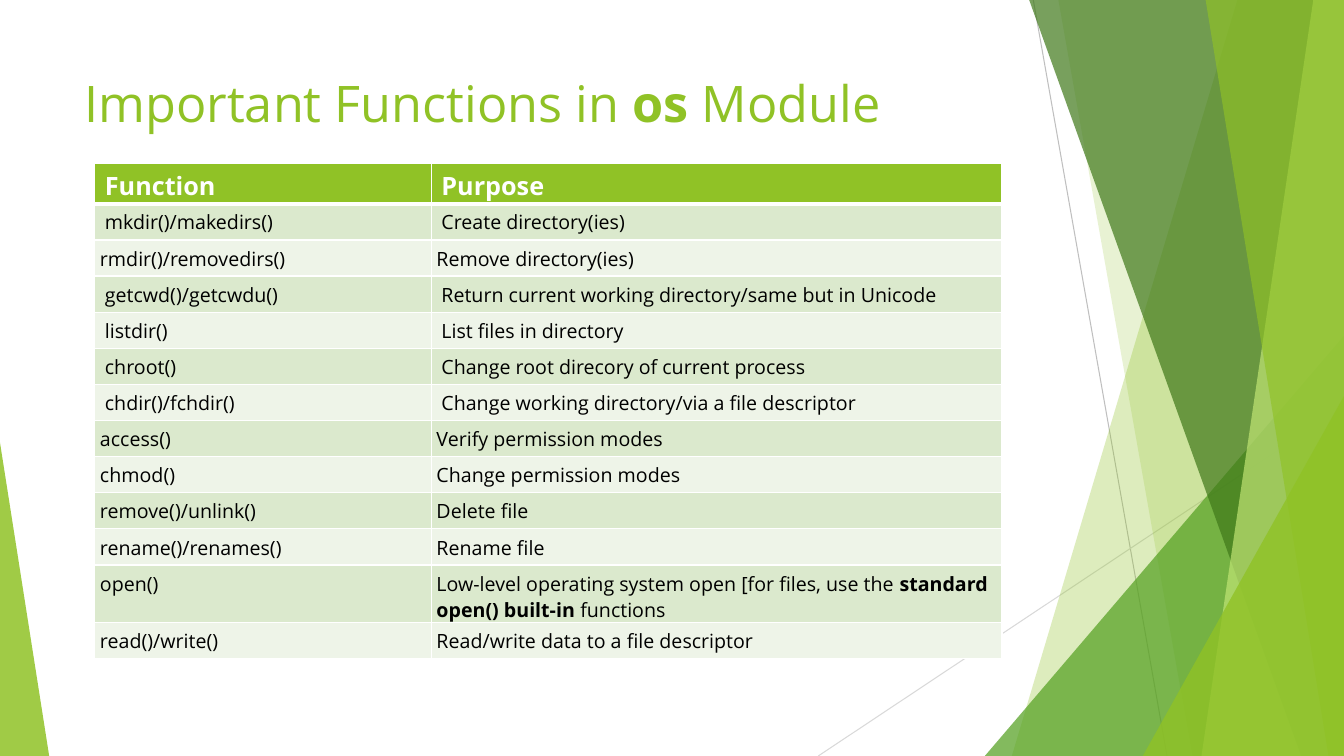
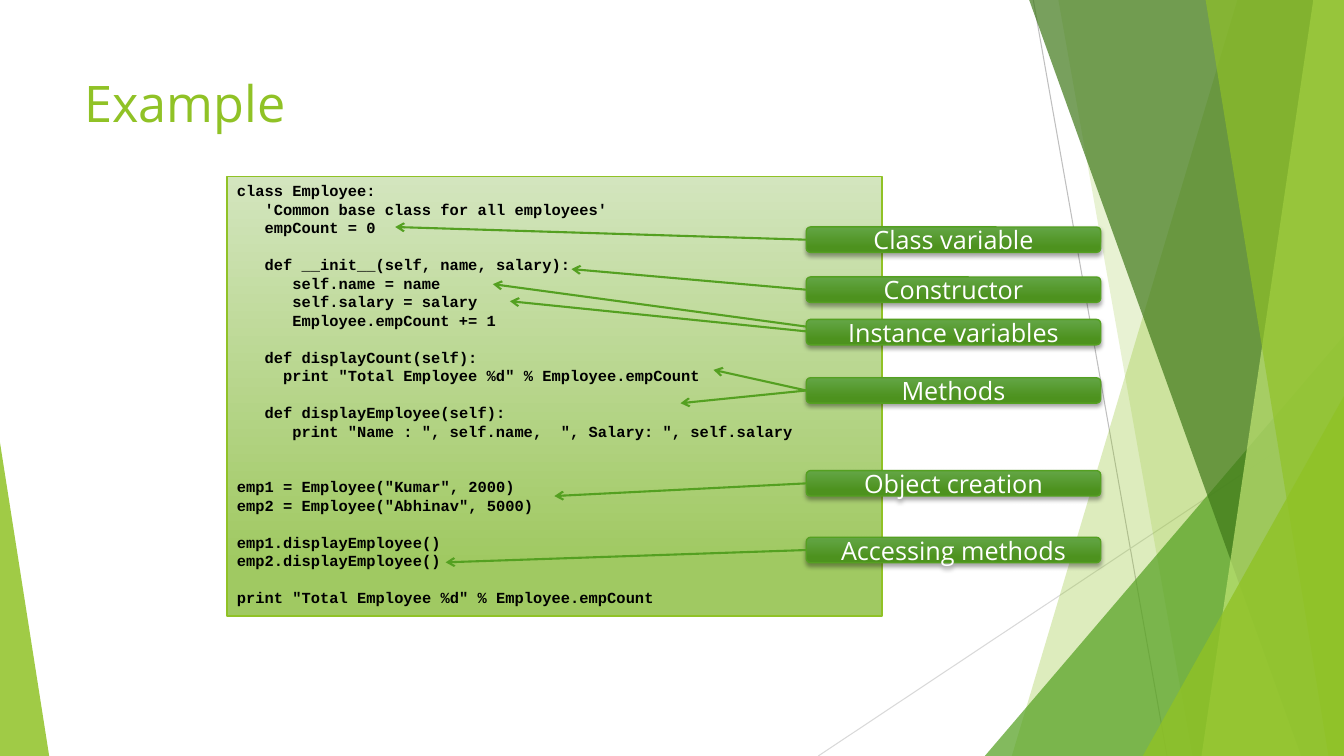
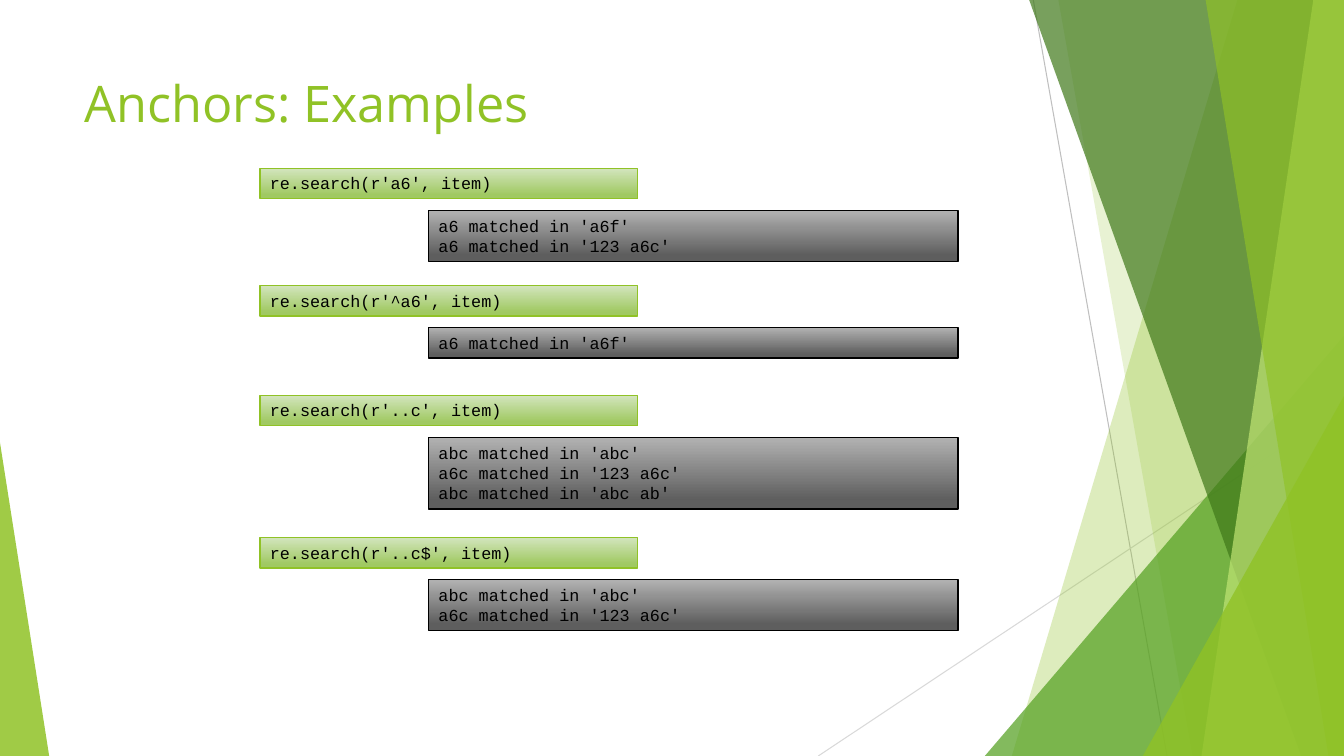
from dataclasses import dataclass
from typing import Any

from lxml import etree
from pptx import Presentation
from pptx.dml.color import RGBColor
from pptx.enum.shapes import MSO_CONNECTOR, MSO_SHAPE
from pptx.enum.text import MSO_ANCHOR, PP_ALIGN
from pptx.oxml.ns import qn
from pptx.util import Cm, Pt

STRAIGHT = MSO_CONNECTOR.STRAIGHT
RECTANGLE = MSO_SHAPE.RECTANGLE
ROUNDED = MSO_SHAPE.ROUNDED_RECTANGLE
TRIANGLE = MSO_SHAPE.ISOSCELES_TRIANGLE
MIDDLE = MSO_ANCHOR.MIDDLE
TOP = MSO_ANCHOR.TOP
LEFT = PP_ALIGN.LEFT
CENTER = PP_ALIGN.CENTER

LIME = RGBColor(0x90, 0xC2, 0x26)
GREEN = RGBColor(0x54, 0xA0, 0x21)
FOREST = RGBColor(0x3F, 0x78, 0x19)
PALE_LIME = RGBColor(0xC0, 0xE4, 0x74)
SILVER = RGBColor(0xBF, 0xBF, 0xBF)
LIGHT_SILVER = RGBColor(0xD9, 0xD9, 0xD9)
WHITE = RGBColor(0xFF, 0xFF, 0xFF)
BLACK = RGBColor(0, 0, 0)
BAND_FILLS = (RGBColor(0xDB, 0xE9, 0xCD), RGBColor(0xEE, 0xF4, 0xE8))

SLIDE_WIDTH, SLIDE_HEIGHT = 33.87, 19.05
FACET_TOP = -0.02
LINE_PITCH = 1.2
CHAR_WIDTH = 0.6


@dataclass(frozen=True)
class TextStyle:
    """Font settings of a piece of text."""
    font: str
    size: float
    color: RGBColor
    bold: bool = False


@dataclass(frozen=True)
class BoxStyle:
    """Vertical gradient and outline of a box."""
    upper: RGBColor
    lower: RGBColor
    lower_stop: float
    outline: RGBColor


@dataclass(frozen=True)
class Facet:
    """Background panel from a slanted left edge to the right slide edge."""
    top_x: float
    bottom_x: float
    color: RGBColor
    opacity: int


@dataclass(frozen=True)
class Wedge:
    """Background triangle standing on the bottom edge."""
    left: float
    top: float
    width: float
    apex: float
    color: RGBColor
    opacity: int


@dataclass(frozen=True)
class Pointer:
    """Arrow tip, and where the arrow leaves its label below the label's top."""
    x: float
    y: float
    drop: float = 0.32


@dataclass(frozen=True)
class Callout:
    """Label beside the code with its arrows."""
    label: str
    top: float
    pointers: tuple[Pointer, ...]


@dataclass(frozen=True)
class Search:
    """Search call and the matches it prints."""
    top: float
    call: str
    matches: str


@dataclass(frozen=True)
class FunctionRow:
    """Table row; tight rows have small cell margins."""
    function: str
    purpose: str
    tight: bool = True


TITLE_TEXT = TextStyle("Open Sans", 36, LIME)
HEADER_TEXT = TextStyle("Open Sans", 18, WHITE, True)
CELL_TEXT = TextStyle("Open Sans", 14, BLACK)
LABEL_TEXT = TextStyle("Open Sans", 18, WHITE)
CLASS_CODE = TextStyle("Courier New", 11, BLACK, True)
SEARCH_CODE = TextStyle("Courier New", 12, BLACK)

CODE_BOX = BoxStyle(RGBColor(0xD3, 0xE5, 0xBE), RGBColor(0xA0, 0xC9, 0x62), 0.88, LIME)
MATCH_BOX = BoxStyle(RGBColor(0xB2, 0xB2, 0xB2), RGBColor(0x5E, 0x5E, 0x5E), 0.88, BLACK)
LABEL_BOX = BoxStyle(RGBColor(0x63, 0xA5, 0x45), RGBColor(0x4D, 0x92, 0x1E), 0.78, GREEN)

BACKDROP = (
    Facet(31.19, 25.5, LIME, 30),
    Facet(26.67, 30.05, LIME, 20),
    Wedge(24.82, 8.46, 9.05, 1, GREEN, 72),
    Facet(25.93, 32.79, FOREST, 70),
    Facet(33.1, 30.28, PALE_LIME, 70),
    Facet(30.38, 33.48, LIME, 65),
    Wedge(28.8, 9.98, 5.07, 1, LIME, 80),
    Wedge(0, 11.15, 1.24, 0, LIME, 85),
)

FUNCTIONS = (
    FunctionRow("mkdir()/makedirs()", "Create directory(ies)", False),
    FunctionRow("rmdir()/removedirs()", "Remove directory(ies)"),
    FunctionRow("getcwd()/getcwdu()", "Return current working directory/same but in Unicode", False),
    FunctionRow("listdir()", "List files in directory", False),
    FunctionRow("chroot()", "Change root direcory of current process", False),
    FunctionRow("chdir()/fchdir()", "Change working directory/via a file descriptor", False),
    FunctionRow("access()", "Verify permission modes"),
    FunctionRow("chmod()", "Change permission modes"),
    FunctionRow("remove()/unlink()", "Delete file"),
    FunctionRow("rename()/renames()", "Rename file"),
    FunctionRow("open()", "Low-level operating system open [for files, use the "
                "**standard open() built-in **functions"),
    FunctionRow("read()/write()", "Read/write data to a file descriptor"),
)

EMPLOYEE_CLASS = """\
class Employee:
   'Common base class for all employees'
   empCount = 0

   def __init__(self, name, salary):
      self.name = name
      self.salary = salary
      Employee.empCount += 1

   def displayCount(self):
     print "Total Employee %d" % Employee.empCount

   def displayEmployee(self):
      print "Name : ", self.name,  ", Salary: ", self.salary


emp1 = Employee("Kumar", 2000)
emp2 = Employee("Abhinav", 5000)

emp1.displayEmployee()
emp2.displayEmployee()

print "Total Employee %d" % Employee.empCount"""

CALLOUTS = (
    Callout("Class variable", 5.72, (Pointer(9.96, 5.72),)),
    Callout("Constructor", 6.98, (Pointer(14.4, 6.78),)),
    Callout("Instance variables", 8.05, (Pointer(12.42, 7.16, 0.18), Pointer(12.85, 7.59, 0.3))),
    Callout("Methods", 9.52, (Pointer(17.98, 9.32), Pointer(17.15, 10.16))),
    Callout("Object creation", 11.86, (Pointer(13.97, 12.5),)),
    Callout("Accessing methods", 13.54, (Pointer(11.23, 14.17),)),
)

SEARCHES = (
    Search(4.24, "re.search(r'a6', item)", "a6 matched in 'a6f'\na6 matched in '123 a6c'"),
    Search(7.19, "re.search(r'^a6', item)", "a6 matched in 'a6f'"),
    Search(9.96, "re.search(r'..c', item)",
           "abc matched in 'abc'\na6c matched in '123 a6c'\nabc matched in 'abc ab'"),
    Search(13.54, "re.search(r'..c$', item)", "abc matched in 'abc'\na6c matched in '123 a6c'"),
)


def add_child(parent: Any, tag: str, **attributes: str) -> Any:
    """Append a drawing element to an XML parent."""
    return etree.SubElement(parent, qn(tag), attributes)


def write(paragraph: Any, text: str, style: TextStyle) -> None:
    """Write text in a style; parts between ** marks are bold."""
    for index, part in enumerate(text.split("**")):
        run = paragraph.add_run()
        run.text = part
        run.font.name = style.font
        run.font.size = Pt(style.size)
        run.font.color.rgb = style.color
        run.font.bold = style.bold or index % 2 == 1


def write_code(frame: Any, code: str, style: TextStyle) -> None:
    """Write code lines, with indents and gaps as paragraph settings."""
    pitch = style.size * LINE_PITCH
    gap = 0
    paragraph = frame.paragraphs[0]
    for number, line in enumerate(code.split("\n")):
        statement = line.lstrip()
        if not statement:
            gap += 1
            continue
        if number:
            paragraph = frame.add_paragraph()
        paragraph.alignment = LEFT
        paragraph.line_spacing = Pt(pitch)
        paragraph.space_before = Pt(pitch * gap)
        indent = Pt((len(line) - len(statement)) * CHAR_WIDTH * style.size)
        paragraph._p.get_or_add_pPr().set("marL", str(indent))
        write(paragraph, statement, style)
        gap = 0


def add_line(slide: Any, start: tuple[float, float], end: tuple[float, float],
             color: RGBColor, width: float, arrow: bool = False) -> None:
    """Draw a straight line, with an arrowhead at its end if wanted."""
    line = slide.shapes.add_connector(STRAIGHT, *(Cm(value) for value in start + end))
    line.line.color.rgb = color
    line.line.width = Pt(width)
    properties = line.element.spPr
    if arrow:
        add_child(properties.find(qn("a:ln")), "a:tailEnd", type="arrow")
    add_child(properties, "a:effectLst")


def add_panel(slide: Any, panel: Facet | Wedge) -> None:
    """Draw one translucent background panel."""
    if isinstance(panel, Facet):
        outline = slide.shapes.build_freeform(Cm(panel.top_x), Cm(FACET_TOP))
        corners = ((SLIDE_WIDTH, FACET_TOP), (SLIDE_WIDTH, SLIDE_HEIGHT),
                   (panel.bottom_x, SLIDE_HEIGHT))
        outline.add_line_segments([(Cm(x), Cm(y)) for x, y in corners])
        shape = outline.convert_to_shape()
    else:
        shape = slide.shapes.add_shape(TRIANGLE, Cm(panel.left), Cm(panel.top), Cm(panel.width),
                                       Cm(SLIDE_HEIGHT - panel.top))
        shape.adjustments[0] = panel.apex
    shape.shadow.inherit = False
    shape.line.fill.background()
    shape.fill.solid()
    shape.fill.fore_color.rgb = panel.color
    tint = shape.element.spPr.find(qn("a:solidFill")).find(qn("a:srgbClr"))
    add_child(tint, "a:alpha", val=str(panel.opacity * 1000))


def add_titled_slide(deck: Any, title: str) -> Any:
    """Add a slide with the shared backdrop and title."""
    slide = deck.slides.add_slide(deck.slide_layouts[6])
    add_line(slide, (26.04, 0), (29.41, SLIDE_HEIGHT), SILVER, 0.75)
    add_line(slide, (SLIDE_WIDTH, 10.24), (20.62, SLIDE_HEIGHT), LIGHT_SILVER, 0.75)
    for panel in BACKDROP:
        add_panel(slide, panel)
    heading = slide.shapes.add_textbox(Cm(1.88), Cm(1.7), Cm(23.88), Cm(3.66)).text_frame
    heading.word_wrap = True
    write(heading.paragraphs[0], title, TITLE_TEXT)
    return slide


def add_box(slide: Any, kind: Any, left: float, top: float, width: float, height: float,
            style: BoxStyle) -> Any:
    """Draw a gradient box and return it."""
    box = slide.shapes.add_shape(kind, Cm(left), Cm(top), Cm(width), Cm(height))
    box.shadow.inherit = False
    box.fill.gradient()
    box.fill.gradient_angle = 270
    upper, lower = box.fill.gradient_stops
    upper.color.rgb, upper.position = style.upper, 0
    lower.color.rgb, lower.position = style.lower, style.lower_stop
    box.line.color.rgb = style.outline
    box.line.width = Pt(1)
    box.text_frame.word_wrap = True
    box.text_frame.vertical_anchor = TOP
    return box


def add_callout(slide: Any, callout: Callout) -> None:
    """Draw a shadowed label and its arrows into the code."""
    left = 20.32
    label = add_box(slide, ROUNDED, left, callout.top, 7.42, 0.64, LABEL_BOX)
    shadow = add_child(label.element.spPr.find(qn("a:effectLst")), "a:outerShdw",
                       blurRad=str(Pt(3)), dist=str(Pt(2)), dir="5400000", rotWithShape="0")
    add_child(add_child(shadow, "a:srgbClr", val=str(BLACK)), "a:alpha", val="35000")
    label.text_frame.vertical_anchor = MIDDLE
    caption = label.text_frame.paragraphs[0]
    caption.alignment = CENTER
    write(caption, callout.label, LABEL_TEXT)
    for pointer in callout.pointers:
        add_line(slide, (left, callout.top + pointer.drop), (pointer.x, pointer.y),
                 GREEN, 1.5, arrow=True)


def add_code_strip(slide: Any, left: float, top: float, width: float, code: str,
                   style: BoxStyle) -> None:
    """Draw a box as tall as its lines of code."""
    height = 0.25 + 0.52 * len(code.split("\n"))
    strip = add_box(slide, RECTANGLE, left, top, width, height, style)
    write_code(strip.text_frame, code, SEARCH_CODE)


def fill_cell(cell: Any, text: str, style: TextStyle, fill: RGBColor, tight: bool,
              top_line: float, bottom_line: float) -> None:
    """Set a cell's text, white borders, margins and fill."""
    properties = cell._tc.get_or_add_tcPr()
    for side, width in (("L", 1), ("R", 1), ("T", top_line), ("B", bottom_line)):
        border = add_child(properties, f"a:ln{side}", w=str(Pt(width)))
        add_child(add_child(border, "a:solidFill"), "a:srgbClr", val=str(WHITE))
    cell.fill.solid()
    cell.fill.fore_color.rgb = fill
    if tight:
        cell.margin_left = cell.margin_right = Cm(0.13)
        cell.margin_top = cell.margin_bottom = Cm(0.13)
    write(cell.text_frame.paragraphs[0], text, style)


def add_function_table(slide: Any) -> None:
    """Draw the table of functions."""
    rows = (FunctionRow("Function", "Purpose", False),) + FUNCTIONS
    table = slide.shapes.add_table(len(rows), 2, Cm(2.39), Cm(4.12), Cm(22.86),
                                   Cm(0.91 * len(rows))).table
    table.horz_banding = False
    table.columns[0].width, table.columns[1].width = Cm(8.48), Cm(14.38)
    for number, row in enumerate(rows):
        header = number == 0
        style = HEADER_TEXT if header else CELL_TEXT
        fill = LIME if header else BAND_FILLS[(number - 1) % 2]
        for column, text in enumerate((row.function, row.purpose)):
            fill_cell(table.cell(number, column), text, style, fill, row.tight,
                      top_line=3 if number == 1 else 1, bottom_line=3 if header else 1)


def main() -> None:
    """Build and save the slides."""
    deck = Presentation()
    deck.slide_width, deck.slide_height = Cm(SLIDE_WIDTH), Cm(SLIDE_HEIGHT)

    add_function_table(add_titled_slide(deck, "Important Functions in **os** Module"))

    example = add_titled_slide(deck, "Example")
    listing = add_box(example, RECTANGLE, 5.72, 4.45, 16.51, 11.07, CODE_BOX)
    write_code(listing.text_frame, EMPLOYEE_CLASS, CLASS_CODE)
    for callout in CALLOUTS:
        add_callout(example, callout)

    anchors = add_titled_slide(deck, "Anchors: Examples")
    for search in SEARCHES:
        add_code_strip(anchors, 6.55, search.top, 9.52, search.call, CODE_BOX)
        add_code_strip(anchors, 10.8, search.top + 1.06, 13.34, search.matches, MATCH_BOX)

    deck.save("out.pptx")


main()
